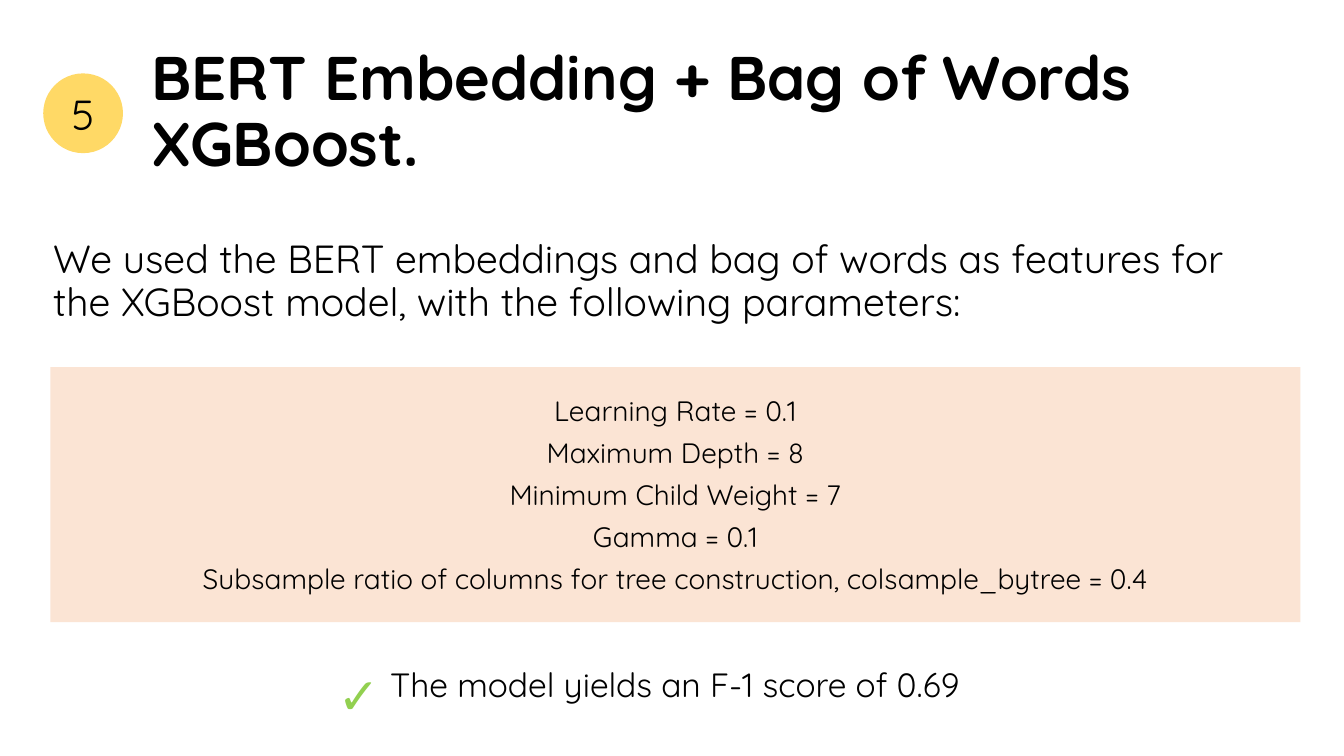
from dataclasses import dataclass

from pptx import Presentation
from pptx.dml.color import RGBColor
from pptx.enum.shapes import MSO_SHAPE as Shape
from pptx.enum.text import MSO_ANCHOR as Anchor, MSO_AUTO_SIZE as AutoSize, PP_ALIGN as Align
from pptx.util import Cm, Pt


@dataclass(frozen=True)
class Theme:
    """Colours and type sizes of the slide."""
    font: str = "Quicksand"
    ink: str = "000000"
    badge: str = "FFD966"
    panel: str = "FBE4D4"
    check: str = "92D050"
    title_size: int = 44
    check_size: int = 36
    badge_size: int = 30
    intro_size: int = 28
    result_size: int = 24
    parameter_size: int = 20


class SlideBuilder:
    """Draws styled elements on the current slide."""

    def __init__(self, deck, theme):
        """Add a title-only slide to the deck."""
        self.theme = theme
        self.slide = deck.slides.add_slide(deck.slide_layouts[5])

    def fill_text(self, shape, lines, size, color=None, bold=False, align=Align.LEFT,
                  anchor=Anchor.MIDDLE, line_spacing=1.0, gap=0):
        """Fill a shape with one styled paragraph per line."""
        frame = shape.text_frame
        frame.text = "\n".join(lines)
        frame.word_wrap = True
        frame.auto_size = AutoSize.NONE
        frame.vertical_anchor = anchor
        for index, para in enumerate(frame.paragraphs):
            para.alignment = align
            para.line_spacing = line_spacing
            para.space_before = Pt(gap if index else 0)
            para.font.name = self.theme.font
            para.font.size = Pt(size)
            para.font.bold = bold
            para.font.color.rgb = RGBColor.from_string(color or self.theme.ink)

    def title(self, place, text):
        """Place and format the title placeholder."""
        title = self.slide.shapes.title
        title.left, title.top, title.width, title.height = map(Cm, place)
        self.fill_text(title, [text], self.theme.title_size, bold=True, line_spacing=0.9)

    def text(self, place, text, size, **style):
        """Add a text box."""
        box = self.slide.shapes.add_textbox(*map(Cm, place))
        self.fill_text(box, [text], size, **style)

    def block(self, kind, place, fill, lines, size, **style):
        """Add a filled shape with centred text."""
        shape = self.slide.shapes.add_shape(kind, *map(Cm, place))
        shape.shadow.inherit = False
        shape.fill.solid()
        shape.fill.fore_color.rgb = RGBColor.from_string(fill)
        shape.line.fill.background()
        self.fill_text(shape, lines, size, align=Align.CENTER, **style)


def main():
    """Build the deck and save it."""
    deck = Presentation()
    deck.slide_width, deck.slide_height = Cm(33.87), Cm(19.05)
    theme = Theme()
    page = SlideBuilder(deck, theme)

    page.title((3.56, 1.02, 29.24, 3.68), "BERT Embedding + Bag of Words XGBoost.")
    page.block(Shape.OVAL, (1.09, 1.85, 2.01, 2.01), theme.badge, ["5"], theme.badge_size)
    page.text(
        (1.09, 5.92, 31.67, 12.09),
        "We used the BERT embeddings and bag of words as features for "
        "the XGBoost model, with the following parameters:",
        theme.intro_size, anchor=Anchor.TOP, line_spacing=0.9)
    parameters = [
        "Learning Rate = 0.1",
        "Maximum Depth = 8",
        "Minimum Child Weight = 7",
        "Gamma = 0.1",
        "Subsample ratio of columns for tree construction, colsample_bytree = 0.4",
    ]
    page.block(Shape.RECTANGLE, (1.27, 9.25, 31.5, 6.43), theme.panel,
               parameters, theme.parameter_size, gap=6)
    page.text((8.26, 16.61, 1.47, 1.8), "✓", theme.check_size,
              color=theme.check, bold=True, anchor=Anchor.TOP)
    page.text((9.58, 15.04, 16.05, 4.52), "The model yields an F-1 score of 0.69",
              theme.result_size, line_spacing=0.9)

    deck.save("out.pptx")


if __name__ == "__main__":
    main()
